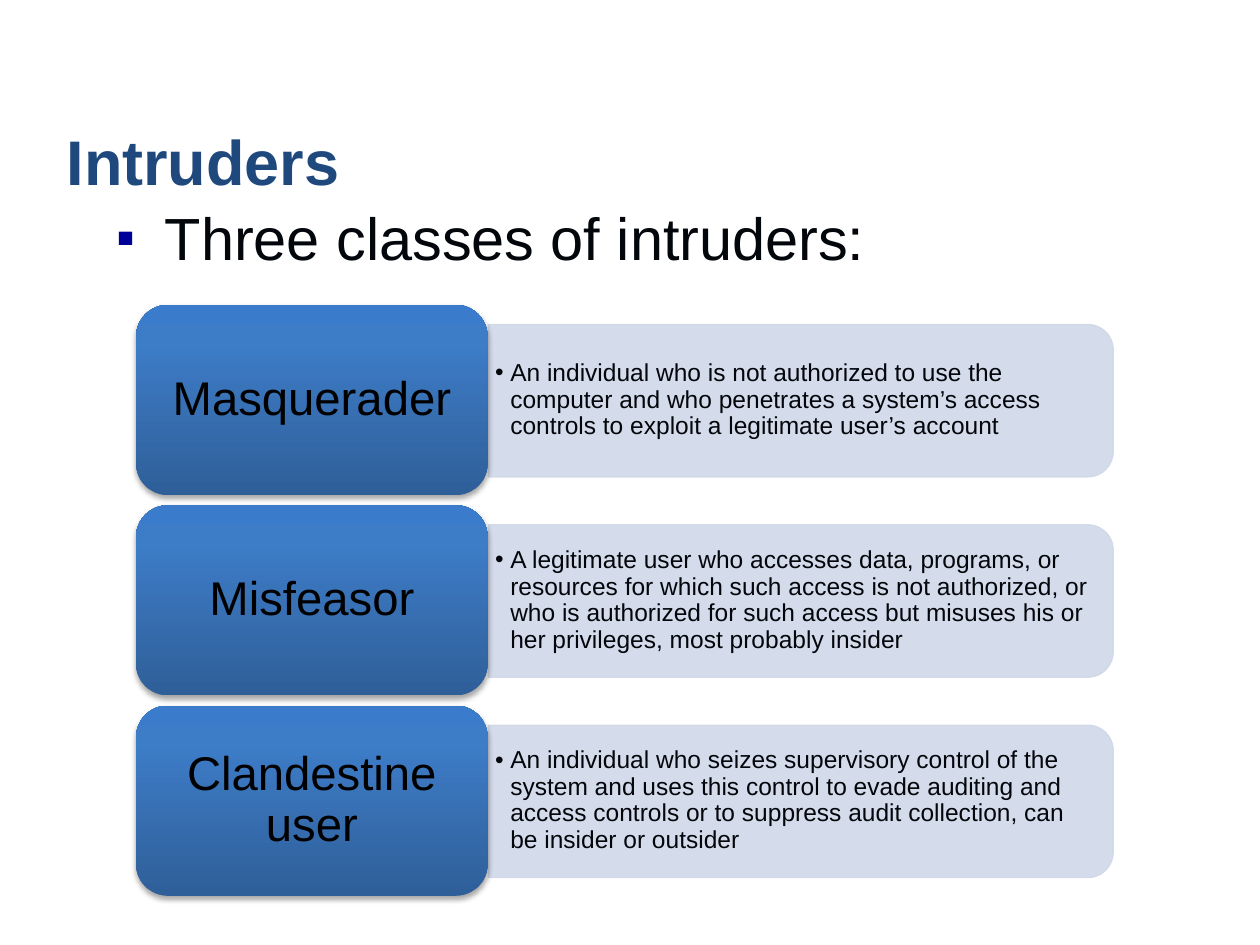
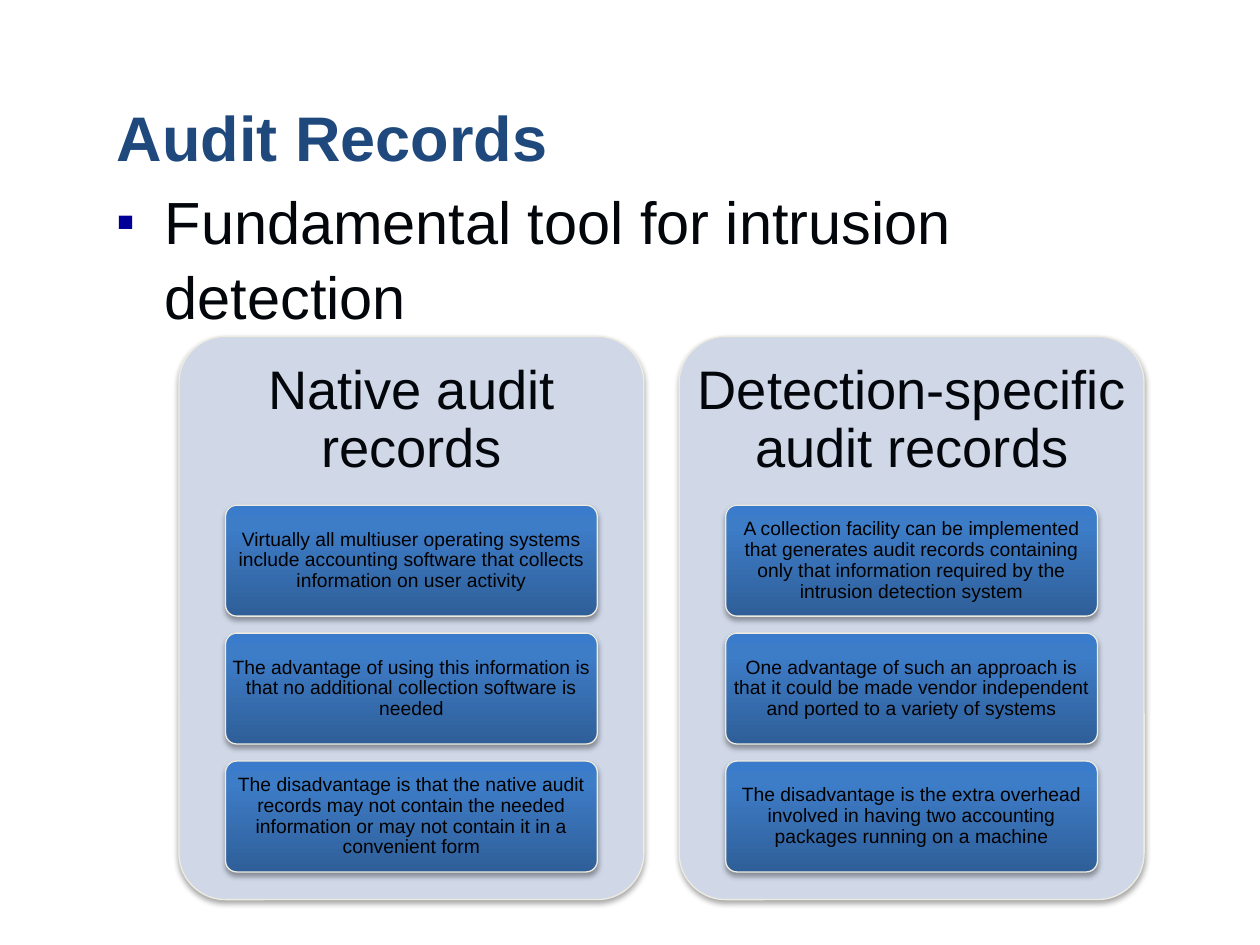
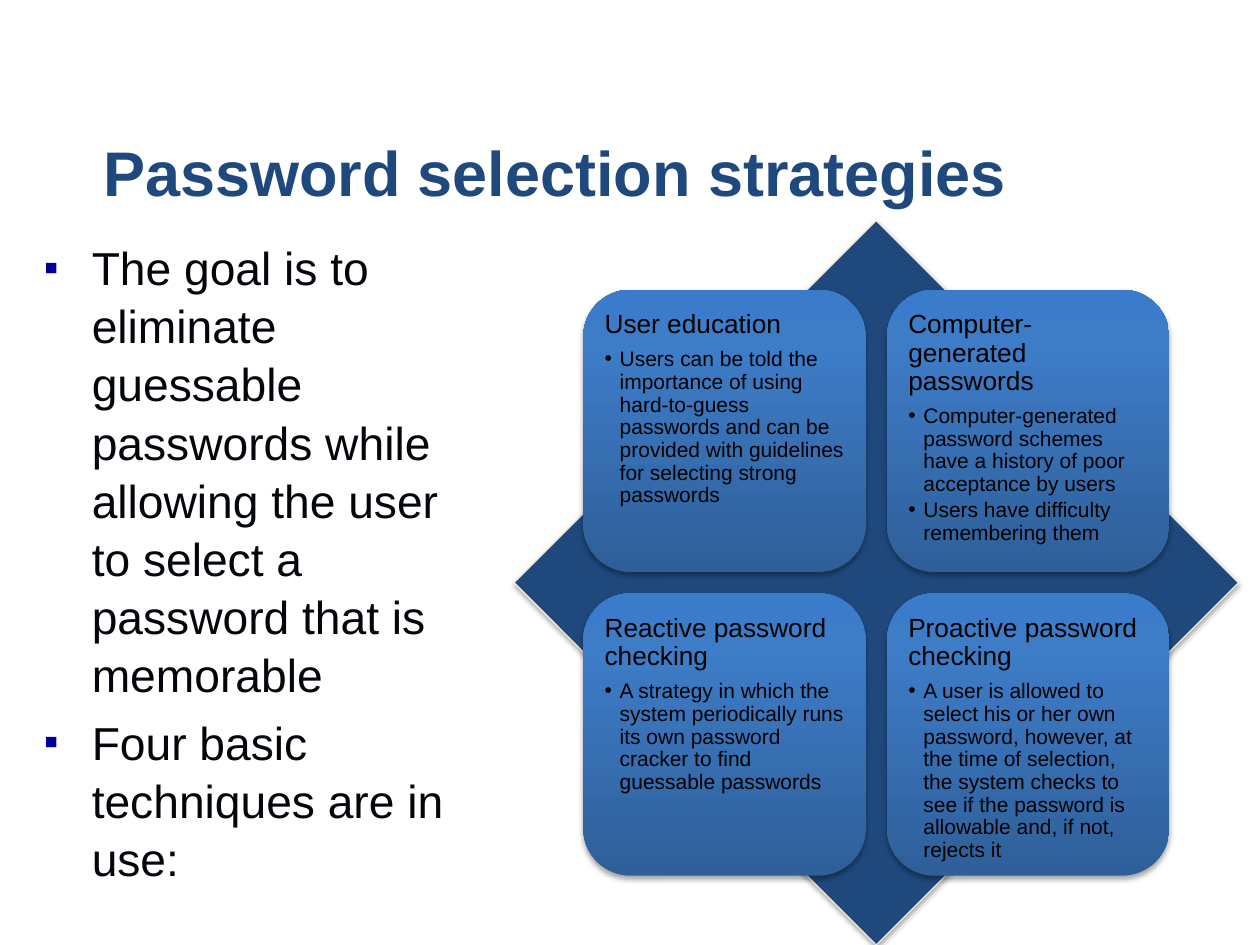
from copy import deepcopy

from lxml.etree import SubElement
from pptx import Presentation
from pptx.dml.color import RGBColor
from pptx.enum.shapes import MSO_SHAPE
from pptx.enum.text import MSO_ANCHOR, PP_ALIGN
from pptx.oxml.ns import qn
from pptx.util import Inches, Pt

TEXT, BLACK, NAVY = "03070C", "000000", "1F497D"
PALE, EDGE = "D0D8E8", "EEECE1"
GRADIENT = [(0, "2F5F99"), (0.8, "3D7CC7"), (1, "3A7CCB")]
SQUARE = {"char": "▪", "color": "000099", "percent": 90, "indent": 0.38}
DOT = {"char": "•", "color": None, "percent": 100, "indent": 0.12}

# Each style: font, paragraph and bullet settings
STYLES = {
    "title": {"font": {"size": Pt(36), "bold": True}, "color": NAVY},
    "body": {"font": {"size": Pt(34)}, "color": TEXT, "bullet": SQUARE,
             "paragraph": {"space_before": Pt(6.8), "line_spacing": 1.05}},
    "narrow body": {"font": {"size": Pt(26.4)}, "color": TEXT, "bullet": SQUARE,
                    "paragraph": {"space_before": Pt(5.3), "line_spacing": 1.05}},
    "class": {"font": {"size": Pt(27)}, "color": BLACK,
              "paragraph": {"alignment": PP_ALIGN.CENTER, "line_spacing": 0.9}},
    "definition": {"font": {"size": Pt(14)}, "color": TEXT, "bullet": DOT,
                   "paragraph": {"line_spacing": 0.9}},
    "panel head": {"font": {"size": Pt(31)}, "color": TEXT,
                   "paragraph": {"alignment": PP_ALIGN.CENTER, "line_spacing": 0.9}},
    "record": {"font": {"size": Pt(11)}, "color": BLACK,
               "paragraph": {"alignment": PP_ALIGN.CENTER, "line_spacing": 0.9}},
    "strategy": {"font": {"size": Pt(15)}, "color": BLACK,
                 "paragraph": {"alignment": PP_ALIGN.LEFT, "line_spacing": 0.9,
                               "space_after": Pt(5.25)}},
    "detail": {"font": {"size": Pt(12)}, "color": BLACK, "bullet": DOT,
               "paragraph": {"alignment": PP_ALIGN.LEFT, "line_spacing": 0.9,
                             "space_after": Pt(1.8)}},
}


def write_text(shape, lines, anchor=MSO_ANCHOR.MIDDLE, margins=(0.1, 0.05)):
    """Fill a shape with (style name, text) lines; margins are horizontal, vertical."""
    frame = shape.text_frame
    frame.word_wrap = True
    frame.vertical_anchor = anchor
    frame.margin_left = frame.margin_right = Inches(margins[0])
    frame.margin_top = frame.margin_bottom = Inches(margins[1])
    for number, (style_name, text) in enumerate(lines):
        style = STYLES[style_name]
        paragraph = frame.add_paragraph() if number else frame.paragraphs[0]
        for name, value in style.get("paragraph", {}).items():
            setattr(paragraph, name, value)
        run = paragraph.add_run()
        run.text = text
        run.font.name = "Arial"
        run.font.color.rgb = RGBColor.from_string(style["color"])
        for name, value in style["font"].items():
            setattr(run.font, name, value)
        bullet = style.get("bullet")
        if bullet:
            properties = paragraph._p.get_or_add_pPr()
            properties.set("marL", str(Inches(bullet["indent"])))
            properties.set("indent", str(-Inches(bullet["indent"])))
            if bullet["color"]:
                color = SubElement(properties, qn("a:buClr"))
                SubElement(color, qn("a:srgbClr"), val=bullet["color"])
            SubElement(properties, qn("a:buSzPct"), val=str(bullet["percent"] * 1000))
            SubElement(properties, qn("a:buFont"), typeface="Arial")
            SubElement(properties, qn("a:buChar"), char=bullet["char"])


def add_block(slide, kind, box, fill=None, edge=None, corner=None, shadow=True):
    """Add a preset shape; without a fill colour it gets the blue gradient."""
    shape = slide.shapes.add_shape(kind, *map(Inches, box))
    if corner:
        shape.adjustments[0] = corner
    if fill:
        shape.fill.solid()
        shape.fill.fore_color.rgb = RGBColor.from_string(fill)
    else:
        shape.fill.gradient()
        shape.fill.gradient_angle = 90
        stop_list = shape._element.spPr.find(".//" + qn("a:gsLst"))
        stop_list.append(deepcopy(stop_list[-1]))
        for stop, (position, color) in zip(shape.fill.gradient_stops, GRADIENT):
            stop.position = position
            stop.color.rgb = RGBColor.from_string(color)
    if edge:
        shape.line.width = Pt(0.75)
        shape.line.color.rgb = RGBColor.from_string(edge)
    else:
        shape.line.fill.background()
    shape.shadow.inherit = False
    if shadow:
        effects = shape._element.spPr.find(qn("a:effectLst"))
        outer = SubElement(effects, qn("a:outerShdw"), blurRad=str(Pt(3.1)),
                           dist=str(Pt(1.8)), dir="5400000", rotWithShape="0")
        color = SubElement(outer, qn("a:srgbClr"), val=BLACK)
        SubElement(color, qn("a:alpha"), val="35000")
    return shape


presentation = Presentation()
presentation.slide_width, presentation.slide_height = Inches(10), Inches(7.5)

# Titles and body text of all slides
PAGES = [
    ("Intruders", (0.43, 1, 9.21, 0.62), (0.83, 1.52, 8.29, 4.93), "body",
     ["Three classes of intruders:"]),
    ("Audit Records", (0.83, 0.91, 9.21, 0.52), (0.83, 1.39, 8.29, 5.53), "body",
     ["Fundamental tool for intrusion detection"]),
    ("Password selection strategies", (0.72, 1.15, 10, 0.56), (0.25, 1.83, 3.42, 4.42),
     "narrow body",
     ["The goal is to eliminate guessable passwords while allowing the user to select "
      "a password that is memorable",
      "Four basic techniques are in use:"]),
]
slides = []
for title, title_box, body_box, body_style, body in PAGES:
    slide = presentation.slides.add_slide(presentation.slide_layouts[6])
    slides.append(slide)
    write_text(slide.shapes.add_textbox(*map(Inches, title_box)), [("title", title)],
               MSO_ANCHOR.BOTTOM)
    write_text(slide.shapes.add_textbox(*map(Inches, body_box)),
               [(body_style, text) for text in body], MSO_ANCHOR.TOP)
intruders, audit_records, passwords = slides

# Intruders: a name block with a definition band on its right
CLASSES = [
    ("Masquerader",
     "An individual who is not authorized to use the computer and who penetrates a "
     "system’s access controls to exploit a legitimate user’s account"),
    ("Misfeasor",
     "A legitimate user who accesses data, programs, or resources for which such access "
     "is not authorized, or who is authorized for such access but misuses his or her "
     "privileges, most probably insider"),
    ("Clandestine user",
     "An individual who seizes supervisory control of the system and uses this control "
     "to evade auditing and access controls or to suppress audit collection, can be "
     "insider or outsider"),
]
for row, (name, definition) in enumerate(CLASSES):
    top = 2.42 + row * 1.59
    band = add_block(intruders, MSO_SHAPE.ROUND_2_SAME_RECTANGLE,
                     (5.75, top - 1.72, 1.21, 4.96), PALE, PALE, shadow=False)
    band.rotation = 90
    for color in band._element.spPr.iter(qn("a:srgbClr")):
        SubElement(color, qn("a:alpha"), val="90000")
    definition_box = intruders.shapes.add_textbox(
        *map(Inches, (3.87, top + 0.21, 4.9, 1.09)))
    write_text(definition_box, [("definition", definition)], margins=(0.06, 0.03))
    name_block = add_block(intruders, MSO_SHAPE.ROUNDED_RECTANGLE, (1.08, top, 2.79, 1.51))
    write_text(name_block, [("class", name)], margins=(0.11, 0.06))

# Audit records: two panels of three cards
PANELS = [
    ("Native audit records", [
        "Virtually all multiuser operating systems include accounting software that "
        "collects information on user activity",
        "The advantage of using this information is that no additional collection "
        "software is needed",
        "The disadvantage is that the native audit records may not contain the needed "
        "information or may not contain it in a convenient form"]),
    ("Detection-specific audit records", [
        "A collection facility can be implemented that generates audit records containing "
        "only that information required by the intrusion detection system",
        "One advantage of such an approach is that it could be made vendor independent "
        "and ported to a variety of systems",
        "The disadvantage is the extra overhead involved in having two accounting "
        "packages running on a machine"]),
]
for column, (heading, records) in enumerate(PANELS):
    left = 1.42 + column * 3.97
    add_block(audit_records, MSO_SHAPE.ROUNDED_RECTANGLE, (left, 2.67, 3.69, 4.47),
              PALE, EDGE, 0.1)
    heading_box = audit_records.shapes.add_textbox(*map(Inches, (left, 2.67, 3.69, 1.34)))
    write_text(heading_box, [("panel head", heading)], margins=(0.13, 0.13))
    for row, record in enumerate(records):
        card = add_block(audit_records, MSO_SHAPE.ROUNDED_RECTANGLE,
                         (left + 0.37, 4.01 + row * 1.015, 2.95, 0.88),
                         edge=EDGE, corner=0.1)
        write_text(card, [("record", record)], margins=(0.03, 0.02))

# Password strategies: two by two tiles on a diamond
STRATEGIES = [
    ("User education", [
        "Users can be told the importance of using hard-to-guess passwords and can be "
        "provided with guidelines for selecting strong passwords"]),
    ("Computer-generated passwords", [
        "Computer-generated password schemes have a history of poor acceptance by users",
        "Users have difficulty remembering them"]),
    ("Reactive password checking", [
        "A strategy in which the system periodically runs its own password cracker to "
        "find guessable passwords"]),
    ("Proactive password checking", [
        "A user is allowed to select his or her own password, however, at the time of "
        "selection, the system checks to see if the password is allowable and, if not, "
        "rejects it"]),
]
add_block(passwords, MSO_SHAPE.DIAMOND, (4.08, 1.75, 5.75, 5.75), NAVY, EDGE)
for number, (strategy, details) in enumerate(STRATEGIES):
    row, column = divmod(number, 2)
    tile = add_block(passwords, MSO_SHAPE.ROUNDED_RECTANGLE,
                     (4.63 + column * 2.41, 2.3 + row * 2.41, 2.24, 2.24))
    write_text(tile, [("strategy", strategy)] + [("detail", text) for text in details],
               MSO_ANCHOR.TOP, (0.06, 0.06))

presentation.save("out.pptx")
